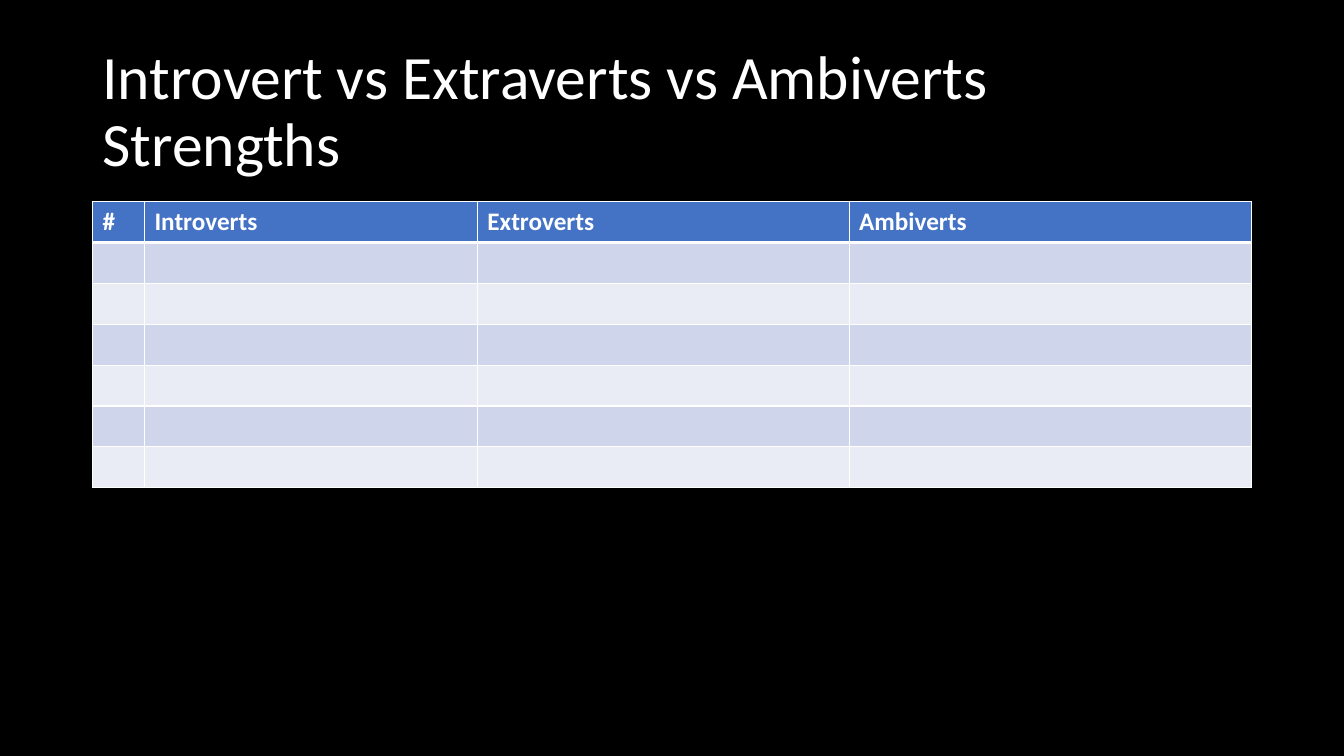
from lxml import etree
from pptx import Presentation
from pptx.dml.color import RGBColor
from pptx.enum.text import MSO_ANCHOR, MSO_AUTO_SIZE, PP_ALIGN
from pptx.oxml.ns import qn
from pptx.util import Cm, Pt

BLACK = RGBColor(0x00, 0x00, 0x00)
WHITE = RGBColor(0xFF, 0xFF, 0xFF)
HEADER_BLUE = RGBColor(0x44, 0x72, 0xC4)
BANDS = RGBColor(0xCF, 0xD5, 0xEA), RGBColor(0xE9, 0xEB, 0xF5)
FONT = "Calibri"

HEADINGS = ["#", "Introverts", "Extroverts", "Ambiverts"]
COL_WIDTHS = [1.31, 8.39, 9.37, 10.14]
BODY_ROWS = 6
ROW_HEIGHT = 1.03


def style_font(font, size, bold=False):
    font.name, font.size, font.bold = FONT, Pt(size), bold
    font.color.rgb = WHITE


def add_title(slide, text, left, top, width, height):
    sp = slide.shapes.title
    sp.left, sp.top, sp.width, sp.height = map(Cm, (left, top, width, height))
    tf = sp.text_frame
    tf.text = text
    tf.word_wrap = True
    tf.auto_size = MSO_AUTO_SIZE.NONE
    tf.vertical_anchor = MSO_ANCHOR.MIDDLE
    p = tf.paragraphs[0]
    p.alignment = PP_ALIGN.LEFT
    p.line_spacing = 0.9
    for r in p.runs:
        style_font(r.font, 44)


def set_borders(cell, top, bottom):
    tcPr = cell._tc.get_or_add_tcPr()
    for side, width in zip("LRTB", (1, 1, top, bottom)):
        ln = etree.SubElement(tcPr, qn(f"a:ln{side}"), w=str(Pt(width)))
        fill = etree.SubElement(ln, qn("a:solidFill"))
        etree.SubElement(fill, qn("a:srgbClr"), val=str(WHITE))


def add_strengths_table(slide, left, top, width):
    rows = BODY_ROWS + 1
    table = slide.shapes.add_table(
        rows, len(HEADINGS), Cm(left), Cm(top), Cm(width), Cm(rows * ROW_HEIGHT)
    ).table
    for column, col_width in zip(table.columns, COL_WIDTHS):
        column.width = Cm(col_width)

    # Header over alternating bands, parted by a thick rule
    for i, row in enumerate(table.rows):
        row.height = Cm(ROW_HEIGHT)
        for cell in row.cells:
            set_borders(cell, top=3 if i == 1 else 1, bottom=3 if i == 0 else 1)
            cell.fill.solid()
            cell.fill.fore_color.rgb = BANDS[(i - 1) % 2] if i else HEADER_BLUE

    # Column headings
    for cell, heading in zip(table.rows[0].cells, HEADINGS):
        cell.text = heading
        style_font(cell.text_frame.paragraphs[0].runs[0].font, 18, bold=True)


def main():
    prs = Presentation()
    prs.slide_width, prs.slide_height = Cm(33.87), Cm(19.05)
    s = prs.slides.add_slide(prs.slide_layouts[5])
    s.background.fill.solid()
    s.background.fill.fore_color.rgb = BLACK

    left, width = 2.33, 29.21
    add_title(s, "Introvert vs Extraverts vs Ambiverts\vStrengths", left, 1.01, width, 3.68)
    add_strengths_table(s, left, 5.08, width)
    prs.save("out.pptx")


if __name__ == "__main__":
    main()
